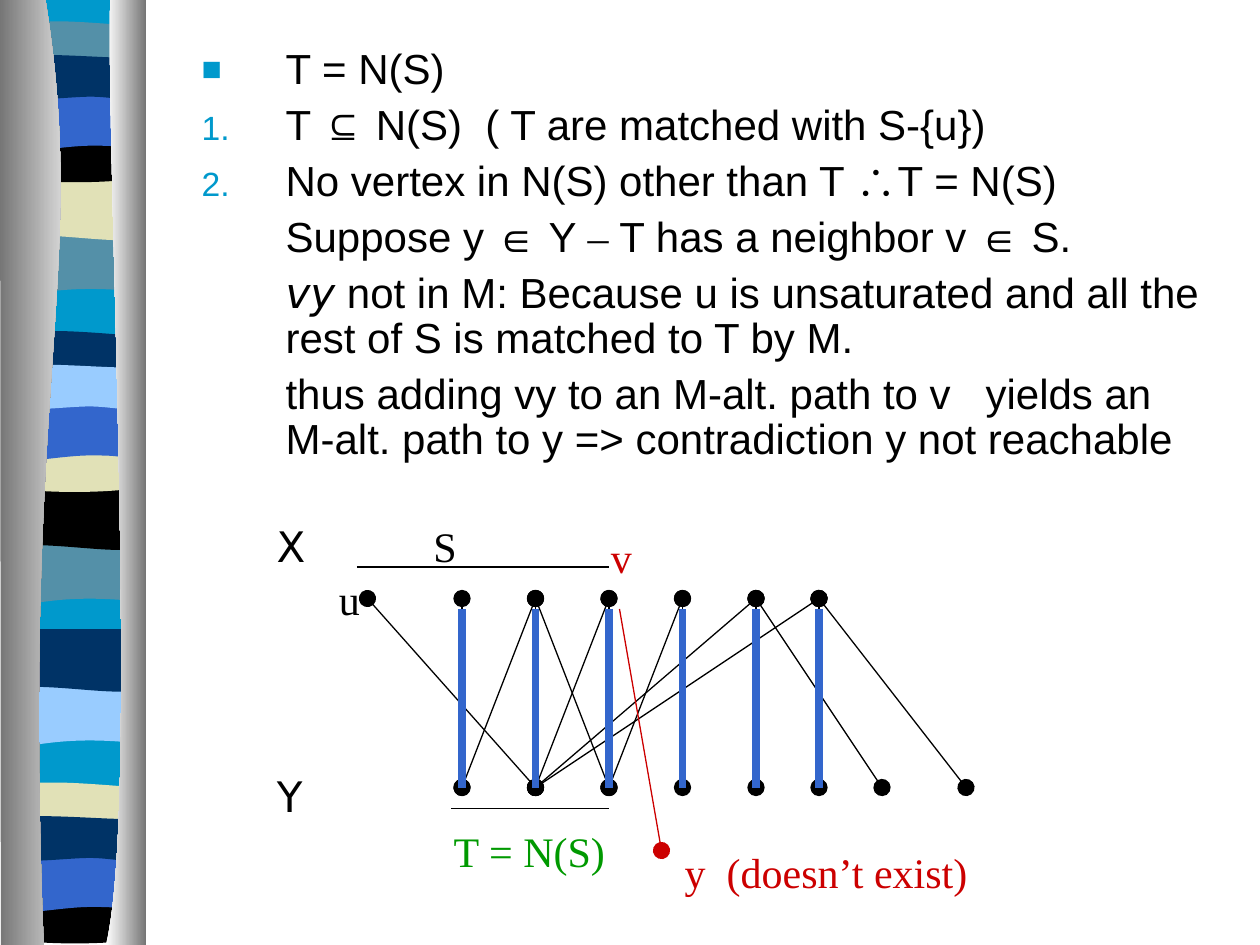
from dataclasses import dataclass
from lxml.etree import SubElement
from pptx import Presentation
from pptx.dml.color import RGBColor
from pptx.enum.shapes import MSO_CONNECTOR
from pptx.enum.text import MSO_AUTO_SIZE, PP_ALIGN
from pptx.oxml.ns import qn
from pptx.util import Pt


@dataclass(frozen=True)
class Theme:
    black: str = "000000"
    white: str = "FFFFFF"
    gray: str = "767676"
    cyan: str = "0099CC"
    teal: str = "5490A8"
    sand: str = "E1E1B7"
    navy: str = "003366"
    blue: str = "3366CC"
    sky: str = "99CCFF"
    red: str = "CC0000"
    green: str = "009900"
    size: int = 24
    thin: float = 0.75
    thick: float = 4.5
    sans: str = "Arial"
    serif: str = "Times New Roman"
    math: str = "DejaVu Sans"


THEME = Theme()
FLAT = (78, 0)
BANDS = {
    "wave": [FLAT, (78, 34), (24, 28, 13, 39, 0, 34), (0, 0)],
    "sag": [FLAT, (78, 34), (65, 39.5, 24, 30, 0, 34), (0, 0)],
    "slim": [FLAT, (78, 17.3), (65, 20, 13, 20, 0, 17.3), (0, 0),
             (4, -3.6, 16.5, -3, 29.5, -3), (42.5, -3, 67.5, -0.7, 78, 0)],
    "bowl": [FLAT, (78, 23), (65, 27.4, 13, 27.4, 0, 23), (0, 0),
             (47.5, 3.6, 61, 0, 78, 0)],
    "arch": [FLAT, (78, 34), (65.5, 30, 60.5, 30, 47.5, 30),
             (34.5, 30, 11.5, 34, 0, 34), (0, 0)],
    "roll": [FLAT, (78, 22.3), (73, 26, 60.5, 22.3, 47.5, 22.3),
             (34.5, 22.3, 8, 26, 0, 22.3), (0, 0),
             (11, -3.6, 52.5, 0, 65.5, 0), (78.5, 0, 75, 0, 78, 0)],
}
TOPS = {"wave": 133, "sag": 101.5, "slim": 15.2, "bowl": 77.8,
        "arch": 53.3, "roll": 33}
ROUNDS = [
    (4.3, 0, 0, "teal sand teal black blue navy"),
    (3.6, 177, 177, "teal black navy sand blue sky"),
    (3.8, 258, 435, "sky navy sand black blue navy"),
]
LEFT = [(26, 0), (51, 156, 12, 213, 25, 540), (0.5, 540), (0, 0)]
RIGHT = [(63, 0), (60.5, 90, 80, 465, 60.5, 540), (83.5, 540), (83.5, 0)]
COLS = [210, 264, 306, 348, 390, 432, 468, 504, 552]
TOP, LOW = 342, 450
EDGES = [(0, 2), (1, 1), (2, 2), (2, 1), (2, 3), (3, 3), (3, 2), (4, 3),
         (4, 4), (5, 5), (6, 2), (6, 6), (5, 2), (5, 7), (6, 8)]
LINES = [
    ("char", [("T = N(S)", "sans")]),
    ("num", [("T ⊆ N(S)  ( T are matched with S-{u})", "sans")]),
    ("num", [("No vertex in N(S) other than T ∴T = N(S)", "sans")]),
    ("", [("Suppose y ∈ Y ", "sans"), ("–", "serif"),
          (" T has a neighbor v ∈ S.", "sans")]),
    ("", [("vy", "math"), (" not in M: Because u is unsaturated and all the "
                           "rest of S is matched to T by M.", "sans")]),
    ("", [("thus adding vy to an M-alt. path to v   yields an M-alt. path "
           "to y => contradiction y not reachable", "sans")]),
]


def put(item, **vals):
    for name, val in vals.items():
        setattr(item, name, val)


def bend(shape, parts):
    steps = iter(shape._element.findall(".//" + qn("a:lnTo")))
    for part in parts:
        first = next(steps)
        if len(part) == 6:
            first.tag = qn("a:cubicBezTo")
            for extra in (next(steps), next(steps)):
                first.append(extra[0])
                extra.getparent().remove(extra)


class Deck:
    def __init__(self, theme, slide):
        self.theme = theme
        self.slide = slide
        self.shapes = slide.shapes

    def tint(self, name):
        return RGBColor.from_string(getattr(self.theme, name))

    def style(self, run, face, hue, slant=False):
        put(run.font, name=getattr(self.theme, face),
            size=Pt(self.theme.size), italic=slant)
        run.font.color.rgb = self.tint(hue)

    def form(self, route, hues, dx=0, dy=0):
        first, *rest = [(Pt(part[i] + dx), Pt(part[i + 1] + dy))
                        for part in route for i in range(0, len(part), 2)]
        pen = self.shapes.build_freeform(*first)
        pen.add_line_segments(rest)
        shape = pen.convert_to_shape()
        bend(shape, route[1:])
        shape.shadow.inherit = False
        shape.line.fill.background()
        if len(hues) == 1:
            shape.fill.solid()
            shape.fill.fore_color.rgb = self.tint(hues[0])
            return
        shape.fill.gradient()
        shape.fill.gradient_angle = 0
        for spot, (stop, hue) in enumerate(zip(shape.fill.gradient_stops, hues)):
            stop.position = spot
            stop.color.rgb = self.tint(hue)

    def line(self, start, end, hue="black", width="thin", dots=()):
        ends = [Pt(v) for v in (*start, *end)]
        wire = self.shapes.add_connector(MSO_CONNECTOR.STRAIGHT, *ends)
        wire.line.width = Pt(getattr(self.theme, width))
        wire.line.color.rgb = self.tint(hue)
        for dot in dots:
            SubElement(wire.line._get_or_add_ln(), qn(f"a:{dot}End"),
                       type="oval", w="lg", len="lg")
        SubElement(wire._element.spPr, qn("a:effectLst"))

    def label(self, text, x, y, wide, hue="black", face="serif"):
        box = self.shapes.add_textbox(Pt(x), Pt(y), Pt(wide), Pt(36))
        put(box.text_frame, word_wrap=False,
            auto_size=MSO_AUTO_SIZE.SHAPE_TO_FIT_TEXT)
        par = box.text_frame.paragraphs[0]
        par.alignment = PP_ALIGN.CENTER
        run = par.add_run()
        run.text = text
        self.style(run, face, hue)

    def bullet(self, par, kind):
        props = par._p.get_or_add_pPr()
        props.set("marL", str(Pt(48)))
        props.set("indent", str(Pt(-48 if kind else 0)))
        if not kind:
            SubElement(props, qn("a:buNone"))
            return
        color = SubElement(props, qn("a:buClr"))
        SubElement(color, qn("a:srgbClr"), val=self.theme.cyan)
        SubElement(props, qn("a:buSzPct"), val="80000")
        SubElement(props, qn("a:buFont"), typeface=self.theme.sans)
        if kind == "num":
            SubElement(props, qn("a:buAutoNum"), type="arabicPeriod")
        else:
            SubElement(props, qn("a:buChar"), char="■")

    def body(self, lines):
        box = self.slide.placeholders[1]
        put(box, left=Pt(108), top=Pt(24), width=Pt(588), height=Pt(282))
        frame = box.text_frame
        put(frame, word_wrap=True, auto_size=MSO_AUTO_SIZE.NONE)
        for spot, (kind, runs) in enumerate(lines):
            par = frame.add_paragraph() if spot else frame.paragraphs[0]
            self.bullet(par, kind)
            put(par, line_spacing=0.9, space_before=Pt(6 if spot else 0))
            for text, face in runs:
                run = par.add_run()
                run.text = text
                self.style(run, face, "black", face == "math")


def main():
    show = Presentation()
    put(show, slide_width=Pt(720), slide_height=Pt(540))
    slide = show.slides.add_slide(show.slide_layouts[1])
    title = slide.shapes.title._element
    title.getparent().remove(title)
    deck = Deck(THEME, slide)

    deck.form([(82, 0), (82, 538), (4, 538), (4, 0)], ["cyan"])
    for x, near, far, hues in ROUNDS:
        for name, hue in zip(BANDS, hues.split()):
            shift = near if name in ("wave", "sag") else far
            deck.form(BANDS[name], [hue], x, TOPS[name] + shift)
    deck.form(LEFT, ["gray", "white"])
    deck.form(RIGHT, ["white", "gray"])
    deck.body(LINES)

    for up, down in EDGES:
        deck.line((COLS[up], TOP), (COLS[down], LOW), dots=("head", "tail"))
    deck.label("X", 151, 294, 29, face="math")
    deck.label("Y", 151, 437, 29, face="math")
    for x in COLS[1:7]:
        deck.line((x, 348), (x, LOW), "blue", "thick")
    deck.label("u", 186.5, 324, 26)
    deck.line((204, 324), (348, 324))
    deck.line((258, 462), (348, 462))
    deck.label("S", 240.5, 294, 27)
    deck.label("T = N(S)", 252, 468, 101, "green")
    deck.line((354, 348), (378, 486), "red", dots=("tail",))
    deck.label("y  (doesn’t exist)", 384, 480, 176, "red")
    deck.label("v", 342, 300, 26, "red")
    show.save("out.pptx")


if __name__ == "__main__":
    main()
